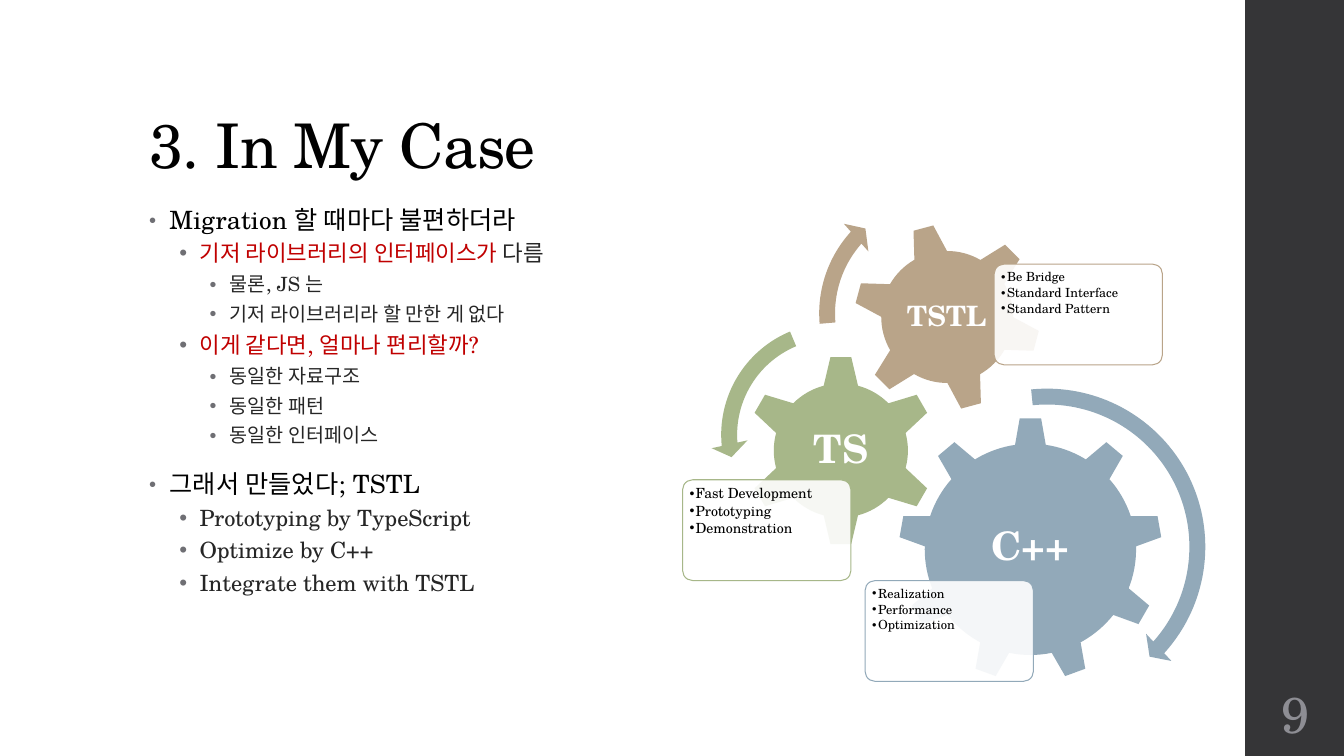
from lxml.etree import SubElement
from pptx import Presentation
from pptx.dml.color import RGBColor
from pptx.enum.shapes import MSO_SHAPE as Form
from pptx.enum.text import MSO_ANCHOR as Anchor, MSO_AUTO_SIZE as Fit, PP_ALIGN as Align
from pptx.oxml.ns import qn
from pptx.util import Inches, Pt

FONT = "TeX Gyre Schola"
BLACK = RGBColor(0x00, 0x00, 0x00)
WHITE = RGBColor(0xFF, 0xFF, 0xFF)
INK = RGBColor(0x26, 0x26, 0x26)
RED = RGBColor(0xC0, 0x00, 0x00)
DARK = RGBColor(0x35, 0x35, 0x37)
GRAY = RGBColor(0x8E, 0x8E, 0x94)
DOT = RGBColor(0x6F, 0x6F, 0x74)
BLUE = RGBColor(0x92, 0xA9, 0xB9)
GREEN = RGBColor(0xA7, 0xB7, 0x89)
TAN = RGBColor(0xB9, 0xA4, 0x89)

TITLE = "3. In My Case"
PAGE = "9"
# level, then runs of (words, colour)
POINTS = [
    (0, [("Migration 할 때마다 불편하더라", BLACK)]),
    (1, [("기저 라이브러리의 인터페이스가", RED), (" 다름", INK)]),
    (2, [("물론, JS 는", INK)]),
    (2, [("기저 라이브러리라 할 만한 게 없다", INK)]),
    (1, [("이게 같다면, 얼마나 편리할까?", RED)]),
    (2, [("동일한 자료구조", INK)]),
    (2, [("동일한 패턴", INK)]),
    (2, [("동일한 인터페이스", INK)]),
    (0, [("그래서 만들었다; TSTL", BLACK)]),
    (1, [("Prototyping by TypeScript", INK)]),
    (1, [("Optimize by C++", INK)]),
    (1, [("Integrate them with TSTL", INK)]),
]
# per level: size, line spacing, space before, space after, tracking, bullet share
LEVELS = [
    (18, 0.95, 14, 2, 0.1, 80),
    (16, 0.9, 3, 3, 0, 100),
    (14, 0.9, 3, 3, 0, 100),
]
# gear: left, top, side, turn; mid: centre of the label; arrow: left, top, side
GEARS = [
    dict(name="C++", tint=BLUE, form=Form.GEAR_9, gear=(8.91, 4.14, 2.62, 0),
         mid=(10.22, 5.43), size=28, card=(8.58, 5.76), small=9,
         notes=["Realization", "Performance", "Optimization"],
         turn=Form.CIRCULAR_ARROW, arrow=(8.71, 3.75, 3.35),
         bend=(0.047, 2.99, 25.198, 158.534, 0.055)),
    dict(name="TS", tint=GREEN, form=Form.GEAR_6, gear=(7.39, 3.52, 1.9, 0),
         mid=(8.34, 4.47), size=28, card=(6.77, 4.76), small=10,
         notes=["Fast Development", "Prototyping", "Demonstration"],
         turn=Form.LEFT_CIRCULAR_ARROW, arrow=(7.05, 3.1, 2.43),
         bend=(0.065, 4.3, 104.891, 148.378, 0.075)),
    dict(name="TSTL", tint=TAN, form=Form.GEAR_6, gear=(8.46, 2.21, 1.87, 345),
         mid=(9.39, 3.15), size=20, card=(9.86, 2.62), small=9,
         notes=["Be Bridge", "Standard Interface", "Standard Pattern"],
         turn=Form.CIRCULAR_ARROW, arrow=(8.02, 1.8, 2.62),
         bend=(0.06, 3.941, 133.138, 105.082, 0.07)),
]


def place(item, *box):
    item.left, item.top, item.width, item.height = map(Inches, box)


def setup(frame, anchor, pad=None):
    frame.word_wrap = True
    frame.auto_size = Fit.NONE
    frame.vertical_anchor = anchor
    if pad is not None:
        frame.margin_left = frame.margin_right = Inches(pad)
        frame.margin_top = frame.margin_bottom = Inches(pad)


def write(para, words, size, color, bold=False, track=0):
    run = para.add_run()
    run.text = words
    font = run.font
    font.name, font.size, font.bold = FONT, Pt(size), bold
    font.color.rgb = color
    if track:
        run._r.get_or_add_rPr().set("spc", str(round(track * 100)))


def bullet(para, left, hang, color, share=100):
    props = para._p.get_or_add_pPr()
    props.set("marL", str(Inches(left)))
    props.set("indent", str(-Inches(hang)))
    tone = SubElement(props, qn("a:buClr"))
    SubElement(tone, qn("a:srgbClr"), val=str(color))
    SubElement(props, qn("a:buSzPct"), val=str(share * 1000))
    SubElement(props, qn("a:buFont"), typeface="Arial")
    SubElement(props, qn("a:buChar"), char="•")


def space(para, line, before=0, after=0):
    para.line_spacing = line
    para.space_before, para.space_after = Pt(before), Pt(after)


def lines(frame, items):
    """Yield each item with its paragraph."""
    for i, item in enumerate(items):
        yield item, frame.add_paragraph() if i else frame.paragraphs[0]


def shape(slide, form, box, fill, edge=None):
    item = slide.shapes.add_shape(form, *map(Inches, box))
    item.shadow.inherit = False
    item.fill.solid()
    item.fill.fore_color.rgb = fill
    if edge is None:
        item.line.fill.background()
    else:
        item.line.color.rgb = edge
        item.line.width = Pt(0.75)
    return item


def label(slide, words, box, size, color, bold=False):
    frame = slide.shapes.add_textbox(*map(Inches, box)).text_frame
    setup(frame, Anchor.MIDDLE, 0.04)
    para = frame.paragraphs[0]
    para.alignment = Align.CENTER
    space(para, 0.9 if bold else 1)
    write(para, words, size, color, bold)


def card(slide, part):
    item = shape(slide, Form.ROUNDED_RECTANGLE, (*part["card"], 1.67, 1), WHITE, part["tint"])
    item.adjustments[0] = 0.1
    solid = item._element.spPr.find(qn("a:solidFill"))
    SubElement(solid[0], qn("a:alpha"), val="90000")
    frame = item.text_frame
    setup(frame, Anchor.TOP, 0.04)
    for note, para in lines(frame, part["notes"]):
        para.alignment = Align.LEFT
        bullet(para, 0.06, 0.06, BLACK)
        space(para, 0.9, after=0.15 * part["small"])
        write(para, note, part["small"], BLACK)


def text(slide):
    title, body = slide.shapes.title, slide.placeholders[1]
    place(title, 1.38, 0.4, 10.6, 1.45)
    setup(title.text_frame, Anchor.BOTTOM)
    head = title.text_frame.paragraphs[0]
    head.alignment = Align.LEFT
    space(head, 0.9)
    write(head, TITLE, 44, BLACK, track=-0.5)

    place(body, 1.38, 2, 4.9, 4.76)
    setup(body.text_frame, Anchor.TOP)
    for i, ((level, runs), para) in enumerate(lines(body.text_frame, POINTS)):
        size, line, before, after, track, share = LEVELS[level]
        para.level = level
        bullet(para, 0.2 + 0.3 * level, 0.2, DOT, share)
        space(para, line, before if i else 0, after)
        for words, color in runs:
            write(para, words, size, color, track=track)


def gears(slide):
    for part in GEARS:
        left, top, side, turn = part["gear"]
        shape(slide, part["form"], (left, top, side, side), part["tint"]).rotation = turn
        x, y = part["mid"]
        wide = side * 0.56
        label(slide, part["name"], (x - wide / 2, y - wide / 2, wide, wide),
              part["size"], WHITE, True)
        card(slide, part)
    for part in GEARS:
        left, top, side = part["arrow"]
        arrow = shape(slide, part["turn"], (left, top, side, side), part["tint"])
        for i, bend in enumerate(part["bend"]):
            arrow.adjustments[i] = bend


def main():
    deck = Presentation()
    deck.slide_width, deck.slide_height = Inches(13.33), Inches(7.5)
    slide = deck.slides.add_slide(deck.slide_layouts[1])
    shape(slide, Form.RECTANGLE, (12.35, 0, 1, 7.5), DARK)
    text(slide)
    label(slide, PAGE, (12.35, 6.75, 1, 0.65), 36, GRAY)
    gears(slide)
    deck.save("out.pptx")


if __name__ == "__main__":
    main()
